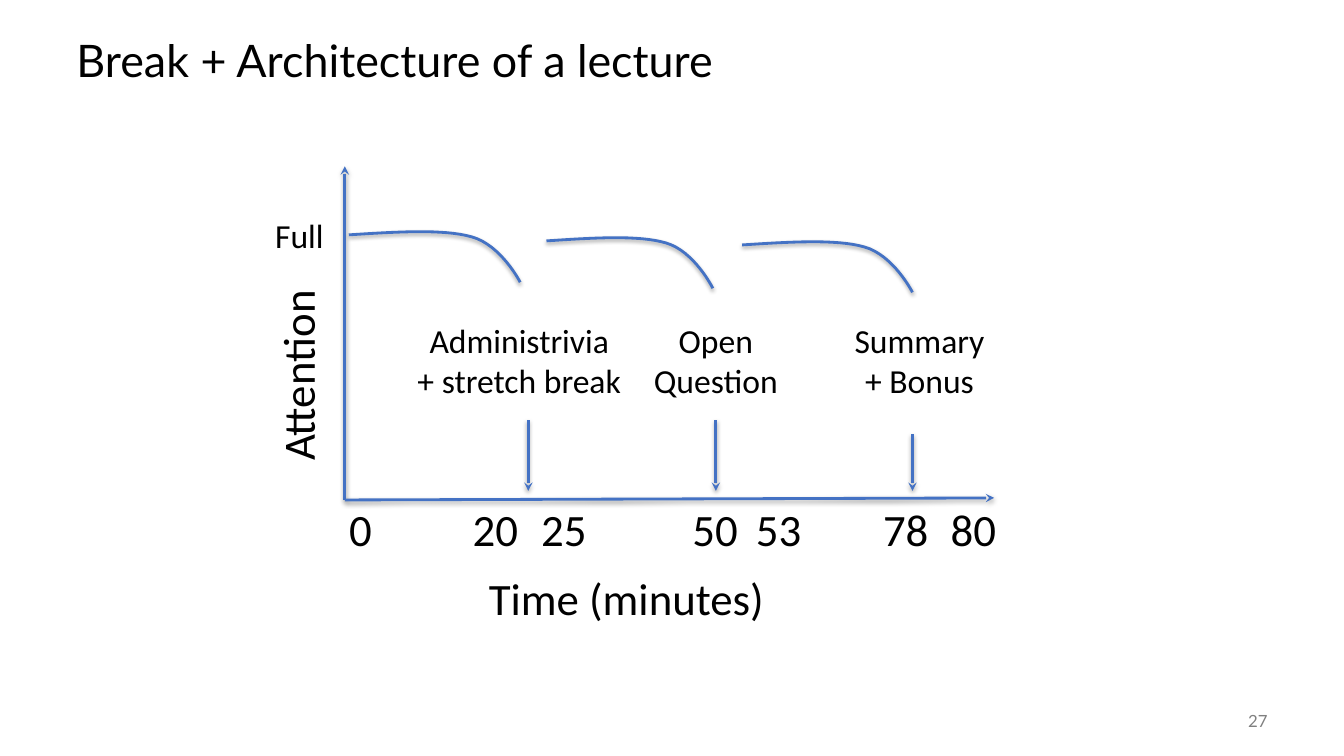
from pptx import Presentation
from pptx.dml.color import RGBColor
from pptx.enum.shapes import MSO_CONNECTOR
from pptx.enum.text import MSO_ANCHOR, PP_ALIGN
from pptx.oxml import parse_xml
from pptx.oxml.ns import nsdecls
from pptx.util import Inches, Pt

STRAIGHT = MSO_CONNECTOR.STRAIGHT
TOP, MIDDLE = MSO_ANCHOR.TOP, MSO_ANCHOR.MIDDLE
LEFT, CENTER, RIGHT = PP_ALIGN.LEFT, PP_ALIGN.CENTER, PP_ALIGN.RIGHT

BLACK, GRAY, BLUE = "000000", "808080", "4472C4"
HEADING = {"name": "Lato", "size": Pt(32)}
FOOTER = {"name": "Lato", "size": Pt(12)}
AXIS = {"name": "Calibri", "size": Pt(32)}
NOTE = {"name": "Calibri", "size": Pt(24)}

# Attention curve in inches, for a span of 1.7: start, then two Bezier segments
CURVE_SPAN = 1.7
CURVE_START = (0, 0.06)
CURVE_SEGMENTS = [
    [(0.47, 0.03), (0.94, 0), (1.22, 0.08)],
    [(1.51, 0.16), (1.7, 0.53), (1.7, 0.53)],
]
CURVE_STEPS = 16

# Left, top and width of each attention curve, from the chart's corner
CURVES = [(0.04, 0.62, 1.7), (2, 0.68, 1.65), (3.94, 0.72, 1.69)]
# Minute and the centre of its label along the time axis
TICKS = [("0", 0.16), ("20", 1.5), ("25", 2.18), ("50", 3.68),
         ("53", 4.31), ("78", 5.57), ("80", 6.24)]
# Lines, text centre, text width, arrow position, arrow start
BREAKS = [
    (["Administrivia", "+ stretch break"], 1.73, 2.24, 1.82, 2.52),
    (["Summary", "+ Bonus"], 5.7, 1.5, 5.63, 2.66),
    (["Open", "Question"], 3.68, 1.66, 3.68, 2.52),
]


def color(value):
    return RGBColor.from_string(value)


def add_text(shapes, lines, box, font, align=LEFT, anchor=TOP, ink=BLACK, spacing=None):
    text_box = shapes.add_textbox(*map(Inches, box))
    frame = text_box.text_frame
    frame.word_wrap = True
    frame.vertical_anchor = anchor
    for index, line in enumerate(lines):
        para = frame.paragraphs[0] if index == 0 else frame.add_paragraph()
        para.alignment = align
        para.line_spacing = spacing
        span = para.add_run()
        span.text = line
        for key, value in font.items():
            setattr(span.font, key, value)
        span.font.color.rgb = color(ink)
    return text_box


def style_stroke(shape):
    """Blue line with a soft shadow below it."""
    shape.line.color.rgb = color(BLUE)
    shape.line.width = Pt(2)
    shape._element.spPr.append(parse_xml(
        f'<a:effectLst {nsdecls("a")}>'
        f'<a:outerShdw blurRad="{Pt(3.1)}" dist="{Pt(1.6)}" dir="5400000" rotWithShape="0">'
        '<a:srgbClr val="000000"><a:alpha val="37000"/></a:srgbClr>'
        '</a:outerShdw></a:effectLst>'))


def add_arrow(shapes, start, end):
    arrow = shapes.add_connector(STRAIGHT, *map(Inches, start + end))
    style_stroke(arrow)
    arrow.line._get_or_add_ln().append(
        parse_xml(f'<a:tailEnd {nsdecls("a")} type="stealth"/>'))


def curve_points(left, top, width):
    """Sample the attention curve, stretched to the given width."""
    points, start = [CURVE_START], CURVE_START
    for first, second, end in CURVE_SEGMENTS:
        for step in range(1, CURVE_STEPS + 1):
            t = step / CURVE_STEPS
            u = 1 - t
            weights = (u ** 3, 3 * u * u * t, 3 * u * t * t, t ** 3)
            corners = (start, first, second, end)
            points.append(tuple(sum(w * corner[axis] for w, corner in zip(weights, corners))
                                for axis in (0, 1)))
        start = end
    return [(Inches(left + x * width / CURVE_SPAN), Inches(top + y)) for x, y in points]


def add_curve(shapes, left, top, width):
    points = curve_points(left, top, width)
    builder = shapes.build_freeform(*points[0])
    builder.add_line_segments(points[1:], close=False)
    curve = builder.convert_to_shape()
    curve.fill.background()
    style_stroke(curve)


def add_break(page, left, top, bottom, lines, center, width, arrow, arrow_top):
    """Label of a break, with its arrow down to the time axis."""
    shapes = page.shapes.add_group_shape().shapes
    add_text(shapes, lines, (left + center - width / 2, top + 1.47, width, 0.91), NOTE, CENTER)
    add_arrow(shapes, (left + arrow, top + arrow_top), (left + arrow, bottom - 0.09))


def add_attention_chart(page, box):
    left, top, width, height = box
    bottom = top + height
    shapes = page.shapes

    # Axes and their names
    add_text(shapes, ["Attention"], (left - 1.46, top + 1.71, 1.98, 0.64), AXIS).rotation = 270
    add_text(shapes, ["Time (minutes)"], (left + 1.33, bottom + 0.65, 2.96, 0.64), AXIS)
    add_text(shapes, ["Full"], (left - 0.79, top + 0.43, 0.69, 0.5), NOTE)
    add_arrow(shapes, (left, bottom), (left, top))
    add_arrow(shapes, (left, bottom), (left + width, bottom - 0.02))

    # Minutes
    for minute, center in TICKS:
        label_width = 0.2 + 0.23 * len(minute)
        add_text(shapes, [minute],
                 (left + center - label_width / 2, bottom - 0.03, label_width, 0.64), AXIS)

    # Attention curves and breaks
    for curve_left, curve_top, curve_width in CURVES:
        add_curve(shapes, left + curve_left, top + curve_top, curve_width)
    for item in BREAKS:
        add_break(page, left, top, bottom, *item)


def main():
    deck = Presentation()
    deck.slide_width, deck.slide_height = Inches(13.33), Inches(7.5)
    page = deck.slides.add_slide(deck.slide_layouts[6])
    add_text(page.shapes, ["Break + Architecture of a lecture"], (0.66, 0.25, 12, 0.75),
             HEADING, anchor=MIDDLE, spacing=0.9)
    add_text(page.shapes, ["27"], (11.67, 6.95, 1, 0.4), FOOTER, RIGHT, MIDDLE, GRAY)
    add_attention_chart(page, (3.42, 1.65, 6.44, 3.31))
    deck.save("out.pptx")


if __name__ == "__main__":
    main()
